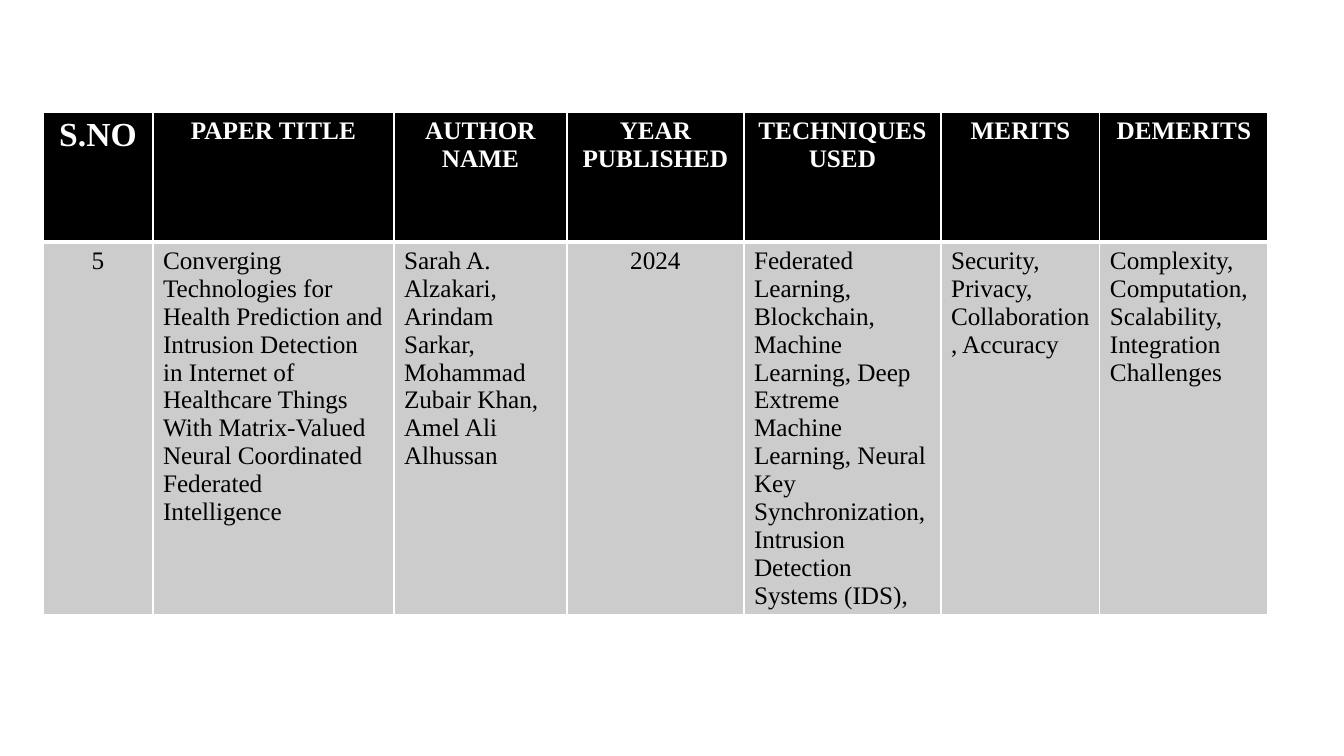
from lxml.etree import SubElement
from pptx import Presentation
from pptx.dml.color import RGBColor
from pptx.enum.text import PP_ALIGN
from pptx.oxml.ns import qn
from pptx.util import Pt

PX = 914400 / 100.8
FONT = "Times New Roman"
COLORS = {"header": "000000", "body": "CCCCCC", "white": "FFFFFF", "text": "000000"}
COLUMNS = [
    ("S.NO", 110, "5"),
    ("PAPER TITLE", 241,
     "Converging Technologies for Health Prediction and Intrusion Detection in "
     "Internet of Healthcare Things With Matrix-Valued Neural Coordinated "
     "Federated Intelligence"),
    ("AUTHOR NAME", 173,
     "Sarah A. Alzakari, Arindam Sarkar, Mohammad Zubair Khan, Amel Ali Alhussan"),
    ("YEAR PUBLISHED", 177, "2024"),
    ("TECHNIQUES USED", 197,
     "Federated Learning, Blockchain, Machine Learning, Deep Extreme Machine "
     "Learning, Neural Key Synchronization, Intrusion Detection Systems (IDS),"),
    ("MERITS", 159, "Security, Privacy, Collaboration, Accuracy"),
    ("DEMERITS", 168,
     "Complexity, Computation, Scalability, Integration Challenges"),
]
CENTERED = {"S.NO", "YEAR PUBLISHED"}
ROW_HEIGHTS = (130, 372)


def px(n):
    return round(n * PX)


def set_borders(cell, top, bottom):
    tc_pr = cell._tc.get_or_add_tcPr()
    for side, width in (("L", 1), ("R", 1), ("T", top), ("B", bottom)):
        ln = SubElement(tc_pr, qn(f"a:ln{side}"), w=str(Pt(width)))
        fill = SubElement(ln, qn("a:solidFill"))
        SubElement(fill, qn("a:srgbClr"), val=COLORS["white"])


def fill_cell(cell, text, fill, color, size, bold, centered):
    cell.fill.solid()
    cell.fill.fore_color.rgb = RGBColor.from_string(COLORS[fill])
    p = cell.text_frame.paragraphs[0]
    p.alignment = PP_ALIGN.CENTER if centered else PP_ALIGN.LEFT
    r = p.add_run()
    r.text = text
    r.font.name = FONT
    r.font.size = Pt(size)
    r.font.bold = bold
    r.font.color.rgb = RGBColor.from_string(COLORS[color])


def add_survey_table(s, left, top, width, height):
    table = s.shapes.add_table(
        2, len(COLUMNS), px(left), px(top), px(width), px(height)).table
    for row, row_height in zip(table.rows, ROW_HEIGHTS):
        row.height = px(row_height)
    for i, (heading, col_width, entry) in enumerate(COLUMNS):
        table.columns[i].width = px(col_width)
        head, body = table.cell(0, i), table.cell(1, i)
        set_borders(head, 1, 3)
        fill_cell(head, heading, "header", "white", 18 if i else 24, True, True)
        set_borders(body, 3, 1)
        fill_cell(body, entry, "body", "text", 18, False, heading in CENTERED)


def main():
    prs = Presentation()
    prs.slide_width, prs.slide_height = px(1344), px(756)
    s = prs.slides.add_slide(prs.slide_layouts[6])
    add_survey_table(s, 43, 112, sum(c[1] for c in COLUMNS), sum(ROW_HEIGHTS))
    prs.save("out.pptx")


if __name__ == "__main__":
    main()
